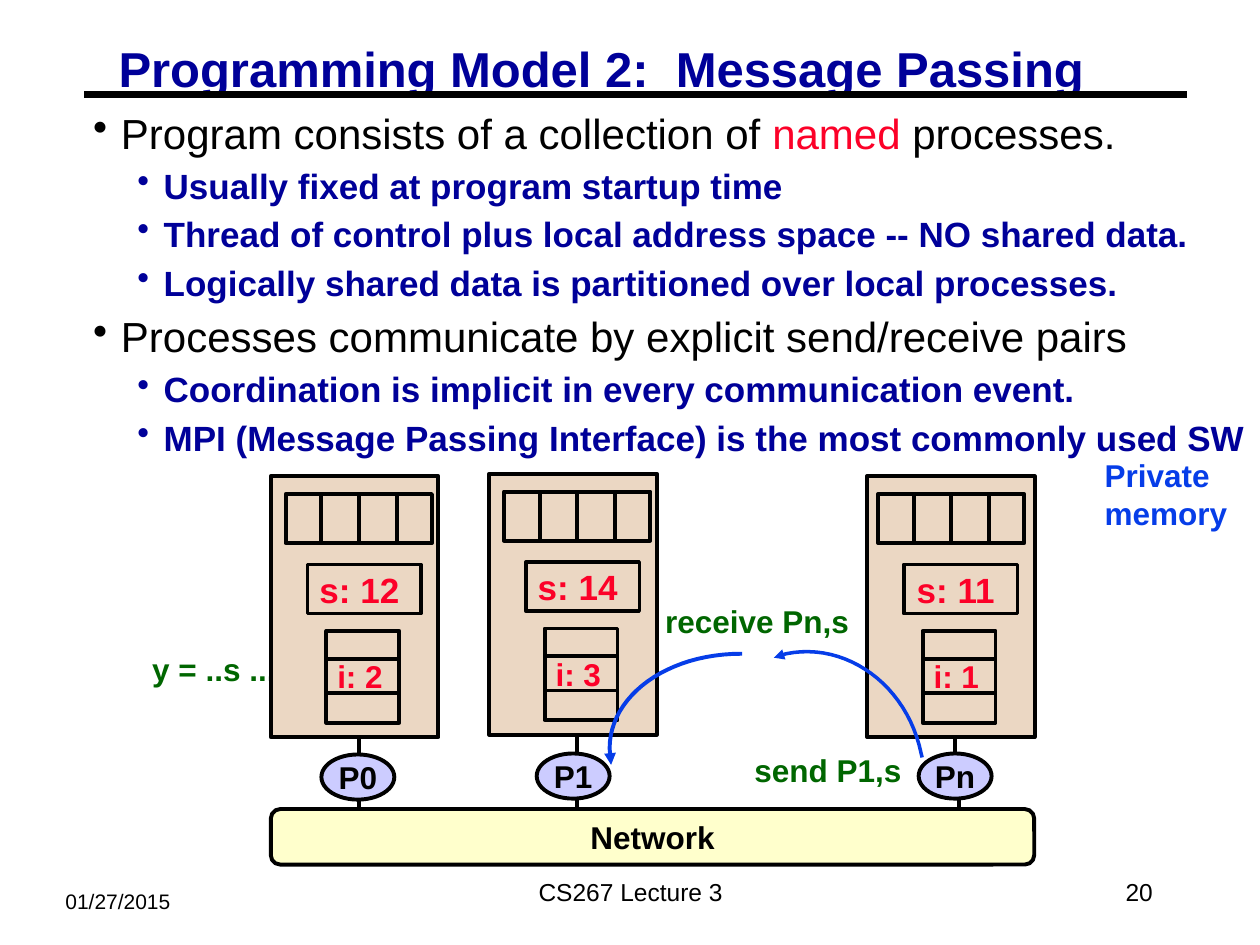
"""Build the slide on the message passing programming model."""
from lxml import etree
from pptx import Presentation, util as u
from pptx.dml.color import RGBColor
from pptx.enum import shapes, text
from pptx.oxml import ns

cm = u.Cm
hue = RGBColor.from_string
form = shapes.MSO_SHAPE
side = text.PP_ALIGN
mid = text.MSO_ANCHOR.MIDDLE
top = text.MSO_ANCHOR.TOP
black, navy, red, green, blue = "000000", "000099", "FC0128", "006600", "063DE8"

deck = Presentation()
deck.slide_width, deck.slide_height = cm(25.4), cm(19.05)
slide = deck.slides.add_slide(deck.slide_layouts[5])
tree = slide.shapes


def box(kind, x, y, w, h, words="", size=18, ink=black, bold=True, fill=None,
        line=2.25, align=side.CENTER, anchor=mid, wrap=False):
    """Add a preset shape, or a text box when kind is None, with one run."""
    area = [cm(n) for n in (x, y, w, h)]
    if kind is None:
        item = tree.add_textbox(*area)
    else:
        item = tree.add_shape(kind, *area)
        item.shadow.inherit = False
        item.line.color.rgb = hue(black)
        item.line.width = u.Pt(line)
        if fill:
            item.fill.solid()
            item.fill.fore_color.rgb = hue(fill)
        else:
            item.fill.background()
    if words:
        frame = item.text_frame
        frame.word_wrap = wrap
        frame.vertical_anchor = anchor
        para = frame.paragraphs[0]
        para.alignment = align
        run = para.add_run()
        run.text = words
        run.font.name, run.font.size, run.font.bold = "Arial", u.Pt(size), bold
        run.font.color.rgb = hue(ink)
    return item


def wire(x1, y1, x2, y2, wide=2.25):
    """Add a plain straight black line."""
    item = tree.add_connector(shapes.MSO_CONNECTOR.STRAIGHT, cm(x1), cm(y1), cm(x2), cm(y2))
    item.line.color.rgb = hue(black)
    item.line.width = u.Pt(wide)
    etree.SubElement(item.element.spPr, ns.qn("a:effectLst"))


wire(1.7, 1.91, 23.93, 1.91, 3.75)
box(None, 1.07, 17.78, 4.88, 0.76, "01/27/2015", 12, bold=False,
    align=side.LEFT, anchor=top, wrap=True)
box(None, 8.69, 17.35, 8.05, 1.27, "CS267 Lecture 3", 14, bold=False, wrap=True)
box(None, 18.21, 17.35, 5.28, 1.27, "20", 14, bold=False, align=side.RIGHT, wrap=True)

title = tree.title
title.left, title.top, title.width, title.height = cm(2.21), cm(0.86), cm(19.84), cm(1.17)
body = tree.add_textbox(cm(1.7), cm(2.08), cm(23.7), cm(7.24))
for item in (title, body):
    frame = item.text_frame
    frame.word_wrap = True
    frame.auto_size = text.MSO_AUTO_SIZE.NONE
    frame.vertical_anchor = top
    frame.margin_left = frame.margin_right = cm(0.18)
    frame.margin_top = frame.margin_bottom = cm(0.08)

para = title.text_frame.paragraphs[0]
para.alignment = side.LEFT
para.line_spacing = 0.87
run = para.add_run()
run.text = "Programming Model 2:  Message Passing"
run.font.name, run.font.size, run.font.bold = "Arial", u.Pt(28), True
run.font.color.rgb = hue(navy)

points = [
    (0, [("Program consists of a collection of ", black), ("named", red), (" processes.", black)]),
    (1, [("Usually fixed at program startup time", navy)]),
    (1, [("Thread of control plus local address space -- NO shared data.", navy)]),
    (1, [("Logically shared data is partitioned over local processes.", navy)]),
    (0, [("Processes communicate by explicit send/receive pairs", black)]),
    (1, [("Coordination is implicit in every communication event.", navy)]),
    (1, [("MPI (Message Passing Interface) is the most commonly used SW", navy)]),
]
styles = [(0.56, -0.56, 4.5, 24, black), (1.42, -0.53, 3.7, 20, navy)]
for num, (level, runs) in enumerate(points):
    left, hang, gap, size, dot = styles[level]
    para = body.text_frame.add_paragraph() if num else body.text_frame.paragraphs[0]
    para.level = level
    para.space_before = u.Pt(gap if num else 0)
    props = para._p.get_or_add_pPr()
    props.set("marL", str(cm(left)))
    props.set("indent", str(cm(hang)))
    tint = etree.SubElement(props, ns.qn("a:buClr"))
    etree.SubElement(tint, ns.qn("a:srgbClr"), val=dot)
    etree.SubElement(props, ns.qn("a:buChar"), char="•")
    for words, ink in runs:
        run = para.add_run()
        run.text = words
        run.font.name, run.font.size, run.font.bold = "Arial", u.Pt(size), level == 1
        run.font.color.rgb = hue(ink)

box(None, 2.82, 12.98, 3, 1.02, "y = ..s ...", ink=green, align=side.LEFT, anchor=top)

nodes = [
    ("P0", 5.46, 9.6, 6.48, 15.21, 0, "s: 12 ", "i: 2"),
    ("P1", 9.86, 9.55, 10.82, 15.19, 0, "s: 14 ", "i: 3"),
    ("Pn", 17.48, 9.6, 18.52, 15.19, 0.08, "s: 11 ", "i: 1"),
]
for name, x, y, ox, oy, shift, shared, own in nodes:
    wire(x + 1.78 + shift, 15.9, x + 1.78 + shift, 16.5)
    box(form.OVAL, ox, oy, 1.47, 0.91, name, fill="CCCCFF")
    box(form.RECTANGLE, x, y, 3.38, 5.26, fill="EBD7C3")
    for col in range(3):
        slot = x + 1.02 - shift + 0.76 * col
        wire(slot, y + 0.36, slot, y + 1.38)
    box(form.RECTANGLE, x + 0.3 - shift, y + 0.36, 2.95, 0.99)
    box(form.RECTANGLE, x + 0.74, y + 1.78, 2.29, 0.99, shared, 20, red, line=2)
    box(None, x + 1.09, y + 3.53, 1.42, 1.02, own, ink=red, align=side.LEFT, anchor=top)
    box(form.RECTANGLE, x + 1.12, y + 3.12, 1.47, 1.85)
    for drop in (3.68, 4.37):
        wire(x + 1.12, y + drop, x + 2.6, y + drop)
    wire(x + 1.78, y + 5.26, x + 1.78, y + 5.6)

box(None, 22.02, 9.07, 3.38, 1.78, "Private memory", ink=blue,
    align=side.LEFT, anchor=top, wrap=True)
box(None, 14.96, 15.01, 3.48, 1.02, "send P1,s", ink=green, align=side.LEFT, anchor=top)
net = box(form.ROUNDED_RECTANGLE, 5.46, 16.31, 15.39, 1.12, "Network", fill="FFFFCC")
net.adjustments[0] = 0.17
box(None, 13.16, 12.01, 4.22, 1.02, "receive Pn,s", ink=green, align=side.LEFT, anchor=top)

curves = [
    ((15.6, 13.26), [(15.85, 13.18), (17.07, 12.93), (18.29, 13.82), (18.57, 15.19)],
     (18.59, 15.27), 2),
    ((12.32, 15.42), [(12.29, 15.09), (12.29, 14.02), (13.46, 13.18), (14.94, 13.18)],
     (14.96, 13.18), 2.25),
]
for start, bend, end, wide in curves:
    track = []
    for step in range(25):
        t = step / 24
        mix = ((1 - t) ** 3, 3 * t * (1 - t) ** 2, 3 * t * t * (1 - t), t ** 3)
        track.append([sum(m * p[axis] for m, p in zip(mix, bend)) for axis in (0, 1)])
    pen = tree.build_freeform(cm(start[0]), cm(start[1]))
    pen.add_line_segments([(cm(px), cm(py)) for px, py in track + [end]], close=False)
    arc = pen.convert_to_shape()
    arc.shadow.inherit = False
    arc.fill.background()
    arc.line.color.rgb = hue(blue)
    arc.line.width = u.Pt(wide)
    etree.SubElement(arc.element.spPr.find(ns.qn("a:ln")), ns.qn("a:headEnd"), type="triangle")

deck.save("out.pptx")
